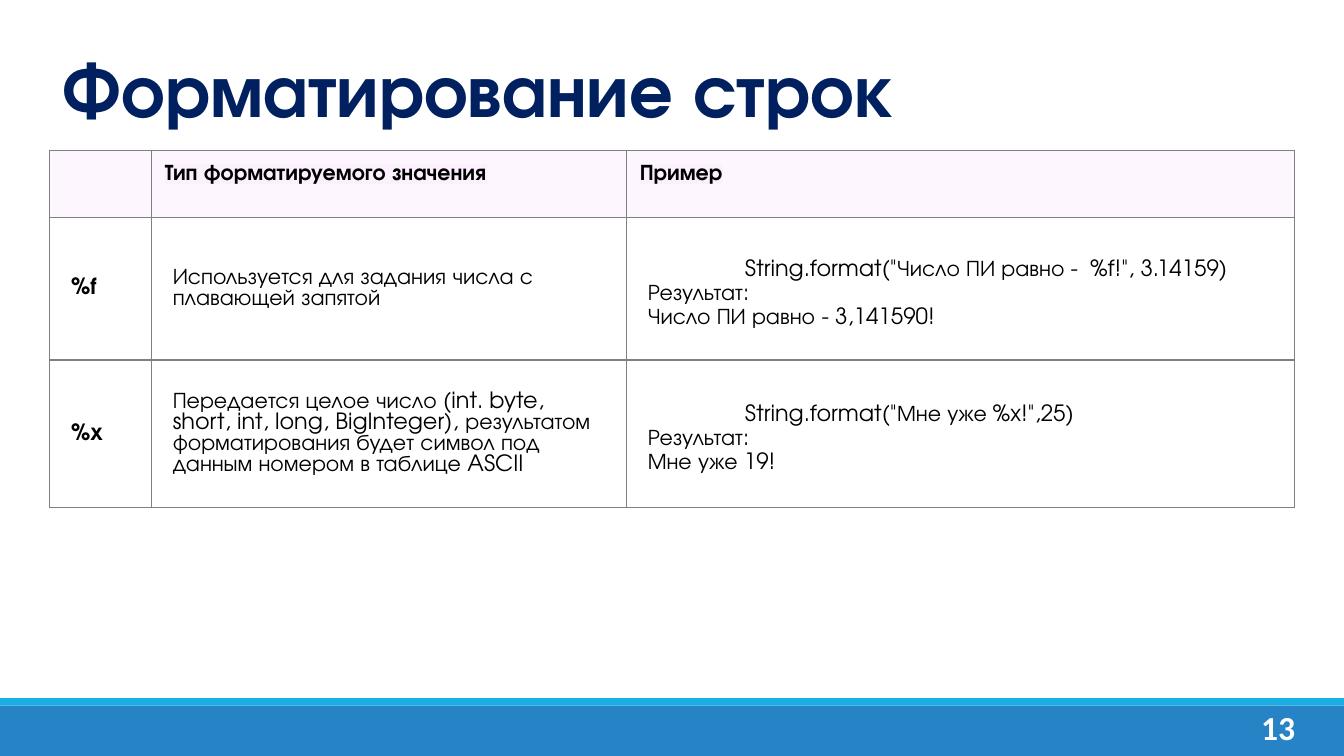
from lxml import etree
from pptx import Presentation, util as u
from pptx.dml.color import RGBColor
from pptx.enum import shapes, text
from pptx.oxml import ns

COLORS = {
    "band": "2683C6", "stripe": "1CADE4", "title": "002060", "text": "000000",
    "white": "FFFFFF", "border": "808080", "header": "FEF6FF", "highlight": "FCF0FF",
}
FONT = "TeX Gyre Adventor"


def rgb(name):
    return RGBColor.from_string(COLORS[name])


def add_color(parent, tag, name):
    """Append a:tag holding the named colour and return it."""
    element = etree.SubElement(parent, ns.qn(tag))
    etree.SubElement(element, ns.qn("a:srgbClr"), val=COLORS[name])
    return element


class SlideBuilder:
    def __init__(self, slide):
        self.slide = slide

    def style(self, paragraph, size, color="text", bold=False, font=FONT):
        paragraph.font.size = u.Pt(size)
        paragraph.font.bold = bold
        paragraph.font.name = font
        paragraph.font.color.rgb = rgb(color)

    def bar(self, top, height, color):
        shape = self.slide.shapes.add_shape(
            shapes.MSO_SHAPE.RECTANGLE, 0, u.Pt(top), u.Pt(720), u.Pt(height))
        shape.shadow.inherit = False
        shape.fill.solid()
        shape.fill.fore_color.rgb = rgb(color)
        shape.line.fill.background()

    def label(self, words, box, size, color, font=FONT, align=None, wrap=True,
              anchor=text.MSO_ANCHOR.TOP):
        frame = self.slide.shapes.add_textbox(*map(u.Pt, box)).text_frame
        frame.word_wrap = wrap
        frame.vertical_anchor = anchor
        paragraph = frame.paragraphs[0]
        paragraph.text = words
        paragraph.alignment = align
        self.style(paragraph, size, color, True, font)

    def borders(self, cell):
        properties = cell._tc.get_or_add_tcPr()
        for index, side in enumerate(("a:lnL", "a:lnR", "a:lnT", "a:lnB")):
            line = etree.Element(ns.qn(side), w=str(u.Pt(0.75)))
            add_color(line, "a:solidFill", "border")
            properties.insert(index, line)

    def cell(self, cell, lines, header, bold):
        """Fill a cell; several lines are a code example and its result."""
        cell.margin_left = cell.margin_right = u.Pt(7.2 if header else 11.5)
        cell.margin_top = cell.margin_bottom = u.Pt(7.2 if header else 10.8)
        if header:
            cell.fill.solid()
            cell.fill.fore_color.rgb = rgb("header")
        else:
            cell.fill.background()
            cell.vertical_anchor = text.MSO_ANCHOR.MIDDLE
        self.borders(cell)
        cell.text = "\n".join(lines)
        for index, paragraph in enumerate(cell.text_frame.paragraphs):
            self.style(paragraph, 12, bold=bold)
            if len(lines) > 1:
                paragraph.line_spacing = 1.15 if index else 1.5
                if index == 0:
                    paragraph._p.get_or_add_pPr().set("marL", str(u.Pt(52)))
            if header:
                for run in paragraph.runs:
                    add_color(run._r.get_or_add_rPr(), "a:highlight", "highlight")

    def table(self, left, top, widths, heights, rows):
        table = self.slide.shapes.add_table(
            len(rows), len(widths), u.Pt(left), u.Pt(top),
            u.Pt(sum(widths)), u.Pt(sum(heights))).table
        table.first_row = table.horz_banding = False
        for column, width in zip(table.columns, widths):
            column.width = u.Pt(width)
        for row, height in zip(table.rows, heights):
            row.height = u.Pt(height)
        for r, row in enumerate(rows):
            for c, lines in enumerate(row):
                self.cell(table.cell(r, c), lines, r == 0, r == 0 or c == 0)


ROWS = [
    [[""], ["Тип форматируемого значения"], ["Пример"]],
    [["%f"],
     ["Используется для задания числа с плавающей запятой"],
     ['String.format("Число ПИ равно -  %f!", 3.14159)',
      "Результат:", "Число ПИ равно - 3,141590!"]],
    [["%x"],
     ["Передается целое число (int. byte, short, int, long, BigInteger), "
      "результатом форматирования будет символ под данным номером в таблице ASCII"],
     ['String.format("Мне уже %x!",25)', "Результат:", "Мне уже 19!"]],
]


def main():
    presentation = Presentation()
    presentation.slide_width, presentation.slide_height = u.Pt(720), u.Pt(405)
    builder = SlideBuilder(presentation.slides.add_slide(presentation.slide_layouts[6]))
    builder.bar(378, 27, "band")
    builder.bar(374, 4, "stripe")
    builder.label("13", (667.5, 375, 34.5, 21.6), 18, "white", "Calibri",
                  text.PP_ALIGN.CENTER, wrap=False)
    builder.label("Форматирование строк", (26.6, 8, 648, 78), 40, "title",
                  anchor=text.MSO_ANCHOR.MIDDLE)
    builder.table(26.6, 80.5, (54.5, 254.5, 358), (36, 76, 79), ROWS)
    presentation.save("out.pptx")


if __name__ == "__main__":
    main()
